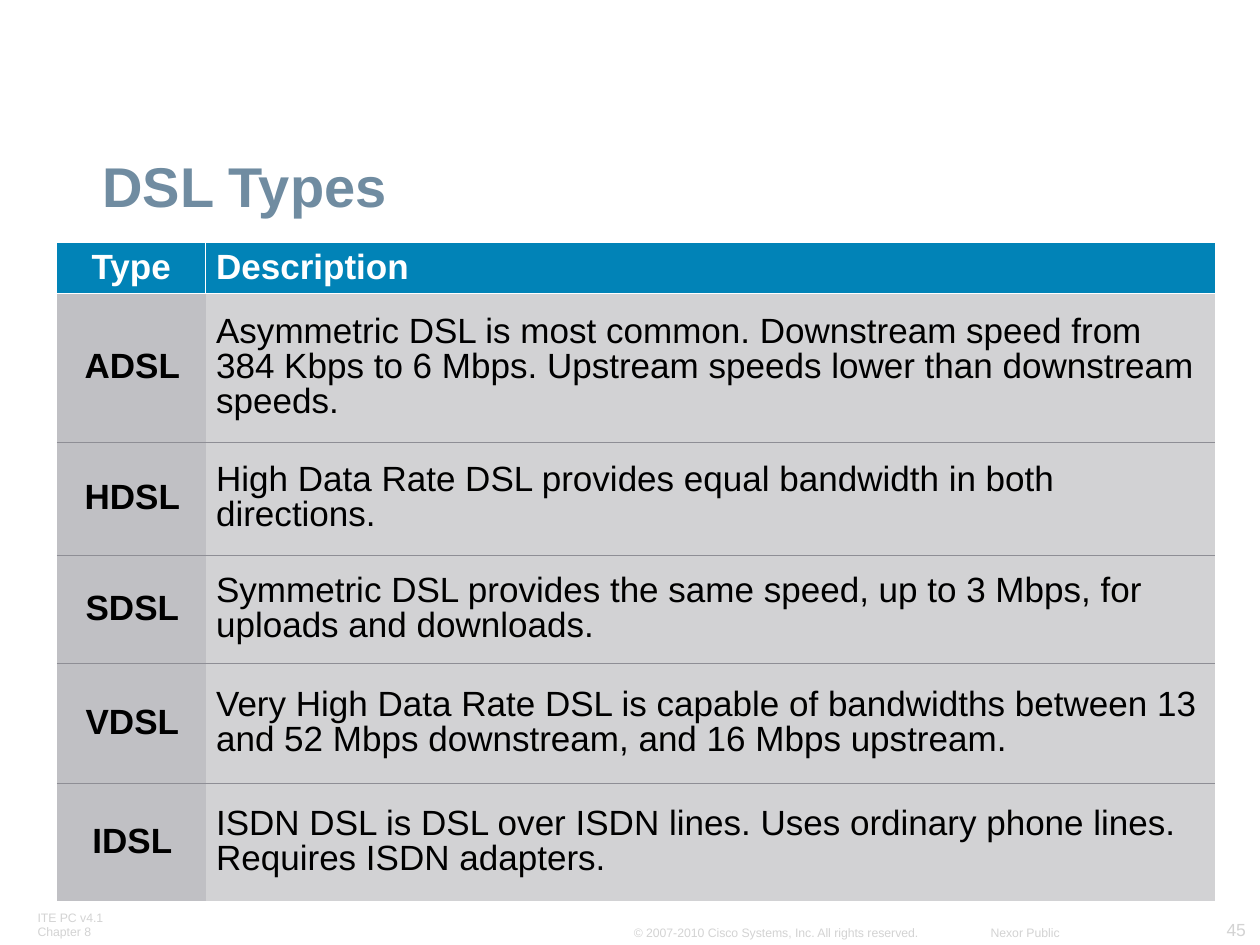
import pptx
import pptx.dml.color
import pptx.enum.text
import pptx.oxml
import pptx.oxml.ns
import pptx.util

Pt = pptx.util.Pt
ALIGN = pptx.enum.text.PP_ALIGN
ANCHOR = pptx.enum.text.MSO_ANCHOR
NO_FIT = pptx.enum.text.MSO_AUTO_SIZE.NONE

WHITE, BLACK, LINE = "FFFFFF", "000000", "8E8E95"
HEAD, TYPE_FILL, DESC_FILL = "0183B7", "C0C0C4", "D2D2D4"
TITLE, FOOTER = "708CA1", "D3D3D3"


def rgb(value):
    return pptx.dml.color.RGBColor.from_string(value)


def set_all(obj, values):
    for name, value in values.items():
        setattr(obj, name, value)


class Deck:
    """Holds the style and the current slide."""

    font = "Arial"
    frame = dict(vertical_anchor=ANCHOR.BOTTOM, auto_size=NO_FIT,
                 margin_left=Pt(6.5), margin_right=Pt(6.5),
                 margin_top=Pt(3.2), margin_bottom=Pt(3.2))
    cell = dict(vertical_anchor=ANCHOR.MIDDLE, margin_left=Pt(6),
                margin_right=Pt(6), margin_top=Pt(3.6), margin_bottom=Pt(3.6))

    def __init__(self, width, height):
        self.prs = pptx.Presentation()
        set_all(self.prs, dict(slide_width=Pt(width), slide_height=Pt(height)))
        self.s = self.prs.slides.add_slide(self.prs.slide_layouts[5])

    def add_text(self, tf, text, size, color, bold=False, align=ALIGN.LEFT, spacing=1.0):
        p = tf.paragraphs[0]
        set_all(p, dict(alignment=align, line_spacing=spacing))
        r = p.add_run()
        r.text = text
        set_all(r.font, dict(name=self.font, size=Pt(size), bold=bold))
        r.font.color.rgb = rgb(color)

    def title(self, text, left, top, width, height):
        sp = self.s.shapes.title
        set_all(sp, dict(left=Pt(left), top=Pt(top), width=Pt(width), height=Pt(height)))
        set_all(sp.text_frame, self.frame)
        self.add_text(sp.text_frame, text, 32, TITLE, bold=True, spacing=0.9)

    def footer(self, text, left, top, width, height, size=7, align=ALIGN.LEFT, wrap=False):
        sp = self.s.shapes.add_textbox(Pt(left), Pt(top), Pt(width), Pt(height))
        set_all(sp.text_frame, dict(self.frame, word_wrap=wrap))
        self.add_text(sp.text_frame, text, size, FOOTER, align=align)

    def border(self, cell, **sides):
        """Draw the given sides as (colour, width) and clear the others."""
        tcPr = cell._tc.get_or_add_tcPr()
        ns = pptx.oxml.ns.nsdecls("a")
        for side in "LRTB":
            color, width = sides.get(side, (None, 0))
            fill = (f'<a:solidFill><a:srgbClr val="{color}"/></a:solidFill>'
                    if color else "<a:noFill/>")
            tcPr.append(pptx.oxml.parse_xml(
                f'<a:ln{side} {ns} w="{int(Pt(width))}">{fill}</a:ln{side}>'))

    def table(self, rows, left, top, widths, heights):
        sp = self.s.shapes.add_table(len(rows), len(widths), Pt(left), Pt(top),
                                     Pt(sum(widths)), Pt(sum(heights)))
        tb = sp.table
        tb.horz_banding = False
        for column, width in zip(tb.columns, widths):
            column.width = Pt(width)
        for row, height in zip(tb.rows, heights):
            row.height = Pt(height)

        white, grey = (WHITE, 0.75), (LINE, 0.45)
        last = len(rows) - 1
        for i, texts in enumerate(rows):
            for j, text in enumerate(texts):
                cell = tb.cell(i, j)
                head, kind = i == 0, j == 0
                set_all(cell, self.cell)
                if kind and not head:
                    cell.margin_left = Pt(7.2)
                # Borders come before the fill in the cell properties
                if head:
                    sides = dict(R=white, B=white)
                    if not kind:
                        sides["L"] = white
                else:
                    sides = dict(T=white if i == 1 else grey,
                                 B=(WHITE, 0.45) if i == last else grey)
                self.border(cell, **sides)
                cell.fill.solid()
                cell.fill.fore_color.rgb = rgb(
                    HEAD if head else TYPE_FILL if kind else DESC_FILL)
                self.add_text(cell.text_frame, text, 20, WHITE if head else BLACK,
                              bold=head or kind,
                              align=ALIGN.CENTER if kind else ALIGN.LEFT,
                              spacing=0.95 if head or kind else 0.9)


def main():
    deck = Deck(720, 540)

    # Footer line
    deck.footer("ITE PC v4.1 Chapter 8", 15, 517, 75.6, 23, wrap=True)
    deck.footer("45", 660, 522, 58.5, 18.5, size=10, align=ALIGN.RIGHT)
    deck.footer("© 2007-2010 Cisco Systems, Inc. All rights reserved.", 355.7, 525.3, 175.7, 15)
    deck.footer("Nexor Public", 561, 525.3, 51, 15, align=ALIGN.RIGHT)

    # Title
    deck.title("DSL Types", 52, 62.6, 641.5, 66.2)

    # Table of DSL types
    deck.table([
        ("Type", "Description"),
        ("ADSL", "Asymmetric DSL is most common. Downstream speed from 384 Kbps "
                 "to 6 Mbps. Upstream speeds lower than downstream speeds."),
        ("HDSL", "High Data Rate DSL provides equal bandwidth in both directions."),
        ("SDSL", "Symmetric DSL provides the same speed, up to 3 Mbps, for uploads "
                 "and downloads."),
        ("VDSL", "Very High Data Rate DSL is capable of bandwidths between 13 and "
                 "52 Mbps downstream, and 16 Mbps upstream."),
        ("IDSL", "ISDN DSL is DSL over ISDN lines. Uses ordinary phone lines. "
                 "Requires ISDN adapters."),
    ], 32.5, 139, (85, 577), (28.8, 84.8, 64.6, 62, 68.4, 67.4))

    deck.prs.save("out.pptx")


if __name__ == "__main__":
    main()
